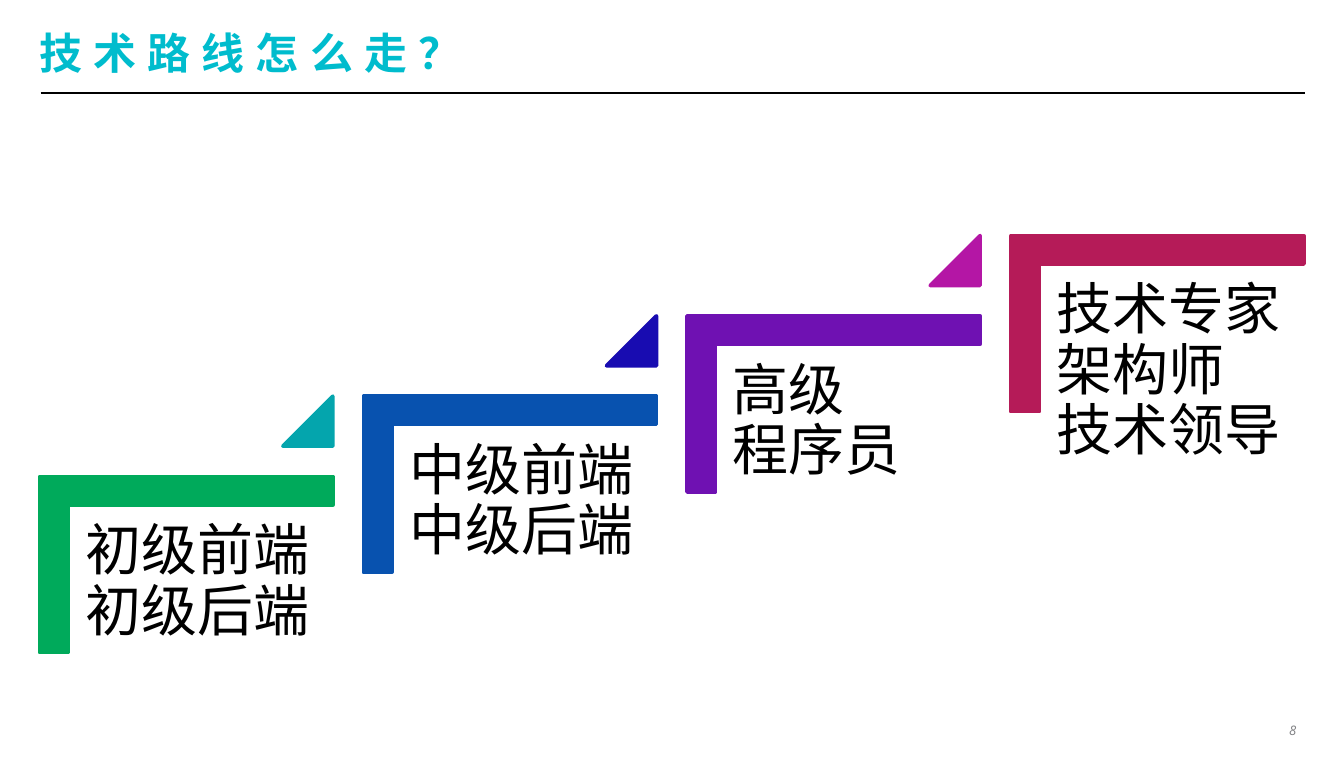
from lxml import etree
from pptx import Presentation
from pptx.dml.color import RGBColor
from pptx.enum import shapes, text
from pptx.oxml import ns
from pptx.util import Pt

COLORS = {
    "title": "00BCCD",
    "ink": "000000",
    "number": "808184",
    "corners": ["00AA5B", "0852AF", "6F11B2", "B51B58"],
    "triangles": ["04A5AD", "180CB1", "B416A5"],
}
STAGES = ["初级前端\n初级后端", "中级前端\n中级后端", "高级\n程序员", "技术专家\n架构师\n技术领导"]
STEP_WIDTH, STEP_HEIGHT = 157, 94.2
STEP_RIGHT, STEP_UP = 173.4, 43


def style_text(para, size, color, name="Arial"):
    for span in para.runs:
        span.font.size = Pt(size)
        span.font.name = name
        span.font.color.rgb = RGBColor.from_string(color)


def set_margins(frame, across, down):
    frame.margin_left = frame.margin_right = Pt(across)
    frame.margin_top = frame.margin_bottom = Pt(down)


def add_solid(page, kind, left, top, width, height, color, adjustments):
    shape = page.shapes.add_shape(kind, Pt(left), Pt(top), Pt(width), Pt(height))
    shape.shadow.inherit = False
    shape.fill.solid()
    shape.fill.fore_color.rgb = RGBColor.from_string(color)
    shape.line.color.rgb = RGBColor.from_string(color)
    shape.line.width = Pt(2)
    for index, value in enumerate(adjustments):
        shape.adjustments[index] = value
    return shape


def add_header(page, left, top, width, height):
    # Title
    title = page.shapes.title
    title.left, title.top, title.width, title.height = Pt(left), Pt(top), Pt(width), Pt(height)
    frame = title.text_frame
    frame.text = "技术路线怎么走？"
    frame.auto_size = text.MSO_AUTO_SIZE.NONE
    frame.vertical_anchor = text.MSO_ANCHOR.MIDDLE
    set_margins(frame, 0, 0)
    para = frame.paragraphs[0]
    para.alignment = text.PP_ALIGN.LEFT
    style_text(para, 23, COLORS["title"])
    span = para.runs[0]
    span.font.bold = True
    span.font._element.set("spc", "600")

    # Rule under the title
    y = Pt(top + height + 6.6)
    rule = page.shapes.add_connector(
        shapes.MSO_CONNECTOR.STRAIGHT, Pt(left + 0.7), y, Pt(left + width + 0.7), y)
    rule.line.color.rgb = RGBColor.from_string(COLORS["ink"])
    rule.line.width = Pt(1)
    etree.SubElement(rule._element.spPr, ns.qn("a:effectLst"))


def add_step(page, left, top, width, height, label, color):
    # The corner is turned a quarter, so its own width and height are swapped
    corner = add_solid(page, shapes.MSO_SHAPE.CORNER,
                       left + (width - height) / 2, top + (height - width) / 2,
                       height, width, color, [0.161, 0.161])
    corner.rotation = 90

    box = page.shapes.add_textbox(
        Pt(left + 15.5), Pt(top + 15.5), Pt(width - 15.2), Pt(123.8))
    frame = box.text_frame
    frame.word_wrap = True
    set_margins(frame, 9, 9)
    para = frame.paragraphs[0]
    para.text = label
    para.line_spacing = 0.9
    style_text(para, 30, COLORS["ink"])


def add_staircase(page, left, top):
    for index, (label, color) in enumerate(zip(STAGES, COLORS["corners"])):
        x, y = left + index * STEP_RIGHT, top - index * STEP_UP
        add_step(page, x, y, STEP_WIDTH, STEP_HEIGHT, label, color)
        # Triangle pointing up to the next step
        if index < len(COLORS["triangles"]):
            size = 26.7
            add_solid(page, shapes.MSO_SHAPE.ISOSCELES_TRIANGLE,
                      x + STEP_WIDTH - size, y - STEP_UP, size, size,
                      COLORS["triangles"][index], [1])


def add_page_number(page, left, top, width, height):
    box = page.shapes.add_textbox(Pt(left), Pt(top), Pt(width), Pt(height))
    frame = box.text_frame
    frame.word_wrap = False
    set_margins(frame, 4.3, 2.2)
    frame.text = "8"
    para = frame.paragraphs[0]
    para.alignment = text.PP_ALIGN.RIGHT
    style_text(para, 7, COLORS["number"], "Open Sans")
    para.runs[0].font.italic = True


def main():
    deck = Presentation()
    deck.slide_width, deck.slide_height = Pt(720), Pt(405.36)
    page = deck.slides.add_slide(deck.slide_layouts[5])
    add_header(page, 21.1, 12.8, 677.3, 30.2)
    add_staircase(page, 21.3, 255.2)
    add_page_number(page, 683.6, 384.5, 15.1, 12.2)
    deck.save("out.pptx")


if __name__ == "__main__":
    main()
